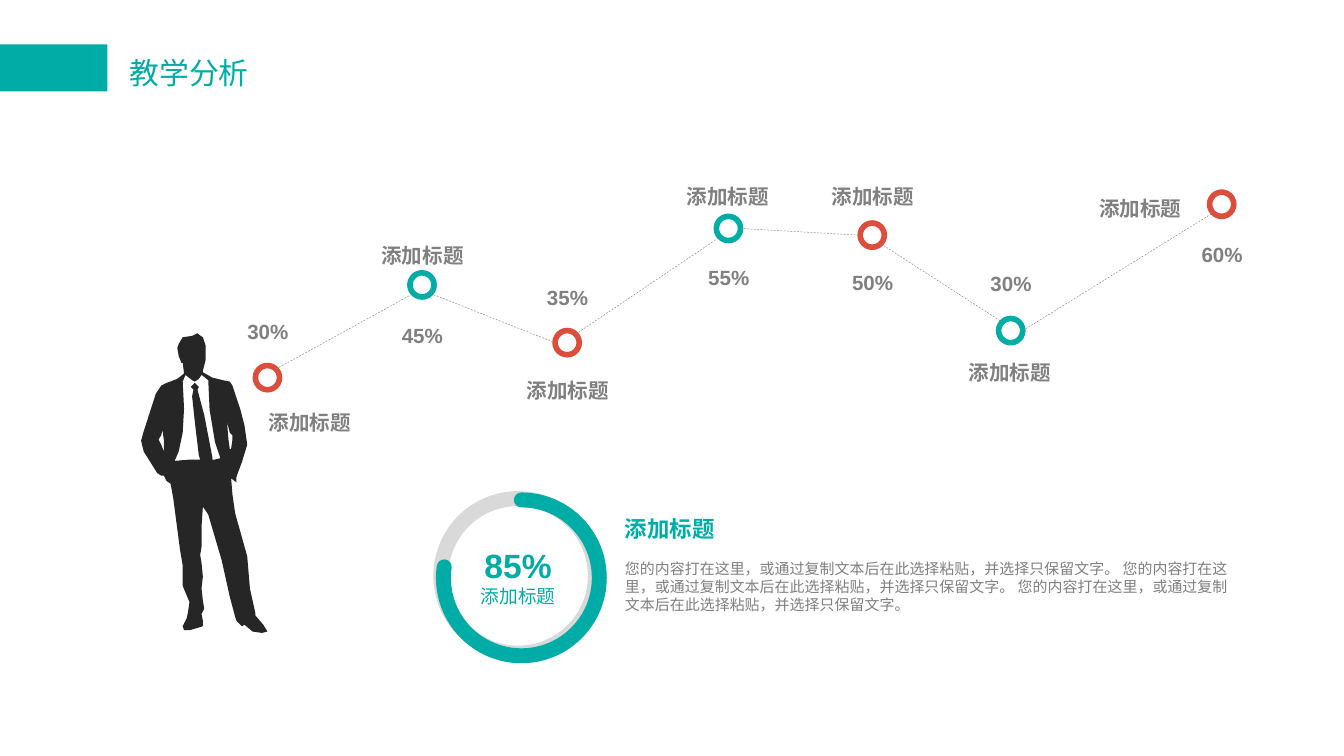
"""Build the teaching analysis slide: a zigzag timeline, a figure and a progress ring."""
from math import cos, radians, sin

from lxml.etree import SubElement
from pptx import Presentation
from pptx.dml.color import RGBColor
from pptx.enum.dml import MSO_LINE
from pptx.enum.shapes import MSO_CONNECTOR, MSO_SHAPE
from pptx.enum.text import MSO_ANCHOR, MSO_AUTO_SIZE, PP_ALIGN
from pptx.oxml.ns import qn
from pptx.util import Inches, Pt

COLORS = {"teal": "00ACA6", "red": "DD4D3B", "text": "808080", "figure": "262626",
          "dash": "7F8C8D", "track": "D9D9D9"}
COLORS = {name: RGBColor.from_string(value) for name, value in COLORS.items()}

presentation = Presentation()
presentation.slide_width = Inches(10)
presentation.slide_height = presentation.slide_width * 9 // 16
slide = presentation.slides.add_slide(presentation.slide_layouts[6])
shapes = slide.shapes
column = presentation.slide_width / 100
row = presentation.slide_height / 56.25


def place(left, top, width, height):
    return [round(value) for value in (left * column, top * row, width * column, height * row)]


def write(target, text, size=11, color="text", bold=True, font="Arial",
          align=PP_ALIGN.LEFT, before=0, inset=0.07, wrap=False):
    if isinstance(target, tuple):
        box = shapes.add_textbox(*place(*target))
        frame = box.text_frame
        frame.word_wrap = wrap
        frame.auto_size = MSO_AUTO_SIZE.SHAPE_TO_FIT_TEXT
        frame.margin_left = frame.margin_right = Inches(inset)
        frame.margin_top = frame.margin_bottom = Inches(0.04)
    else:
        frame = target
    paragraph = frame.add_paragraph() if frame.text else frame.paragraphs[0]
    paragraph.alignment = align
    paragraph.space_before = Pt(before)
    run = paragraph.add_run()
    run.text = text
    run.font.size = Pt(size)
    run.font.bold = bold
    run.font.name = font
    run.font.color.rgb = COLORS[color]
    return frame


banner = shapes.add_shape(MSO_SHAPE.RECTANGLE, *place(0, 3.3, 8, 3.5))
banner.shadow.inherit = False
banner.fill.solid()
banner.fill.fore_color.rgb = COLORS["teal"]
banner.line.fill.background()
write((8.85, 3.65, 10.5, 3.5), "教学分析", size=16, color="teal", bold=False,
      font="Calibri", inset=0.08)

body = [
    (196, 465), (190, 458), (190, 456), (186, 438), (184, 414), (175, 382), (173, 368),
    (172, 356), (176, 359), (176, 355), (177, 352), (180, 344), (184, 331), (182, 317),
    (179, 305), (176, 296), (173, 287), (171, 284), (166, 283), (158, 281), (151, 277),
    (151, 276), (153, 268), (153, 264), (153, 257), (151, 251), (148, 249), (147, 248),
    (143, 250), (136, 251), (133, 256), (132, 259), (133, 265), (135, 270), (136, 270),
    (137, 278), (132, 282), (124, 285), (120, 287), (116, 293), (107, 321), (105, 328),
    (107, 336), (117, 352), (120, 354), (122, 354), (124, 358), (127, 360), (129, 371),
    (134, 409), (136, 421), (136, 436), (141, 448), (140, 455), (139, 460), (136, 466),
    (137, 469), (141, 469), (148, 467), (151, 466), (151, 462), (150, 457), (152, 453),
    (151, 447), (150, 438), (151, 429), (150, 419), (149, 413), (150, 407), (150, 392),
    (151, 377), (155, 383), (165, 417), (171, 444), (175, 459), (176, 462), (180, 466),
    (182, 465), (188, 470), (195, 471), (199, 470)]
left_arm_gap = [(122, 336), (120, 331), (118, 327), (120, 324), (121, 320), (122, 328)]
shirt = [
    (160, 342), (158, 342), (158, 340), (152, 309), (147, 290), (148, 288), (145, 285),
    (142, 288), (144, 290), (143, 295), (145, 314), (148, 339), (149, 342), (142, 342),
    (130, 343), (133, 336), (136, 322), (137, 304), (136, 284), (138, 279), (143, 283),
    (145, 284), (148, 282), (150, 279), (155, 283), (156, 305), (160, 329), (164, 341)]
right_arm_gap = [(171, 334), (170, 327), (169, 314), (171, 322), (173, 324), (173, 327),
                 (172, 334)]
builder = shapes.build_freeform(*body[0], scale=column / 10)
builder.add_line_segments(body[1:])
for outline in (left_arm_gap, shirt, right_arm_gap):
    builder.move_to(*outline[0])
    builder.add_line_segments(outline[1:])
figure = builder.convert_to_shape()
figure.shadow.inherit = False
figure.fill.solid()
figure.fill.fore_color.rgb = COLORS["figure"]
figure.line.fill.background()

diameter = 1.8
milestones = [
    (19, 27.2, "30%", 23.3, 19.2, 30.1),
    (30.5, 20.3, "45%", 23.6, 27.6, 17.7),
    (41.3, 24.6, "35%", 20.8, 38.4, 27.7),
    (53.3, 16.1, "55%", 19.3, 50.3, 13.3),
    (64, 16.6, "50%", 19.7, 61.1, 13.3),
    (74.3, 23.7, "30%", 19.8, 71.3, 26.4),
    (90, 14.3, "60%", 17.6, 81, 14.2),
]
for index, (left, top, percent, percent_top, title_left, title_top) in enumerate(milestones):
    marker = shapes.add_shape(MSO_SHAPE.OVAL, *place(left, top, diameter, diameter))
    marker.shadow.inherit = False
    marker.fill.background()
    marker.line.color.rgb = COLORS["teal" if index % 2 else "red"]
    marker.line.width = Pt(3)
    write((title_left, title_top, 7.7, 2.6), "添加标题", align=PP_ALIGN.CENTER)
    write((left - 1.3, percent_top, 4.6, 2.6), percent)

link_angles = [(-45, 135), (45, 180), (-45, 135), (0, 180), (45, -135), (0, 135)]
for start, end, angles in zip(milestones, milestones[1:], link_angles):
    ends = []
    for (left, top, *_), angle in zip((start, end), angles):
        ends.append(round((left + diameter / 2 * (1 + cos(radians(angle)))) * column))
        ends.append(round((top + diameter / 2 * (1 + sin(radians(angle)))) * row))
    link = shapes.add_connector(MSO_CONNECTOR.STRAIGHT, *ends)
    link.line.color.rgb = COLORS["dash"]
    link.line.width = Pt(0.25)
    link.line.dash_style = MSO_LINE.DASH
    SubElement(link._element.spPr, qn("a:effectLst"))

details = write((45.8, 37.9, 46.7, 8.2), "添加标题", size=12, color="teal", wrap=True)
sentence = "您的内容打在这里，或通过复制文本后在此选择粘贴，并选择只保留文字。"
write(details, " ".join([sentence] * 3), size=8, bold=False, before=9.5)

track = shapes.add_shape(MSO_SHAPE.OVAL, *place(32.8, 37.1, 11.5, 11.5))
progress = shapes.add_shape(MSO_SHAPE.ARC, *place(33, 37.2, 11.6, 11.6))
progress.adjustments[0] = 162
progress.adjustments[1] = 112.875
for ring, color in ((track, "track"), (progress, "teal")):
    ring.shadow.inherit = False
    ring.fill.background()
    ring.line.color.rgb = COLORS[color]
    ring.line.width = Pt(8)
progress.line._ln.set("cap", "rnd")
track.text_frame.vertical_anchor = MSO_ANCHOR.MIDDLE
write(track.text_frame, "85%", size=18, color="teal", align=PP_ALIGN.CENTER)
write(track.text_frame, "添加标题", size=10, color="teal", bold=False, align=PP_ALIGN.CENTER)

presentation.save("out.pptx")
